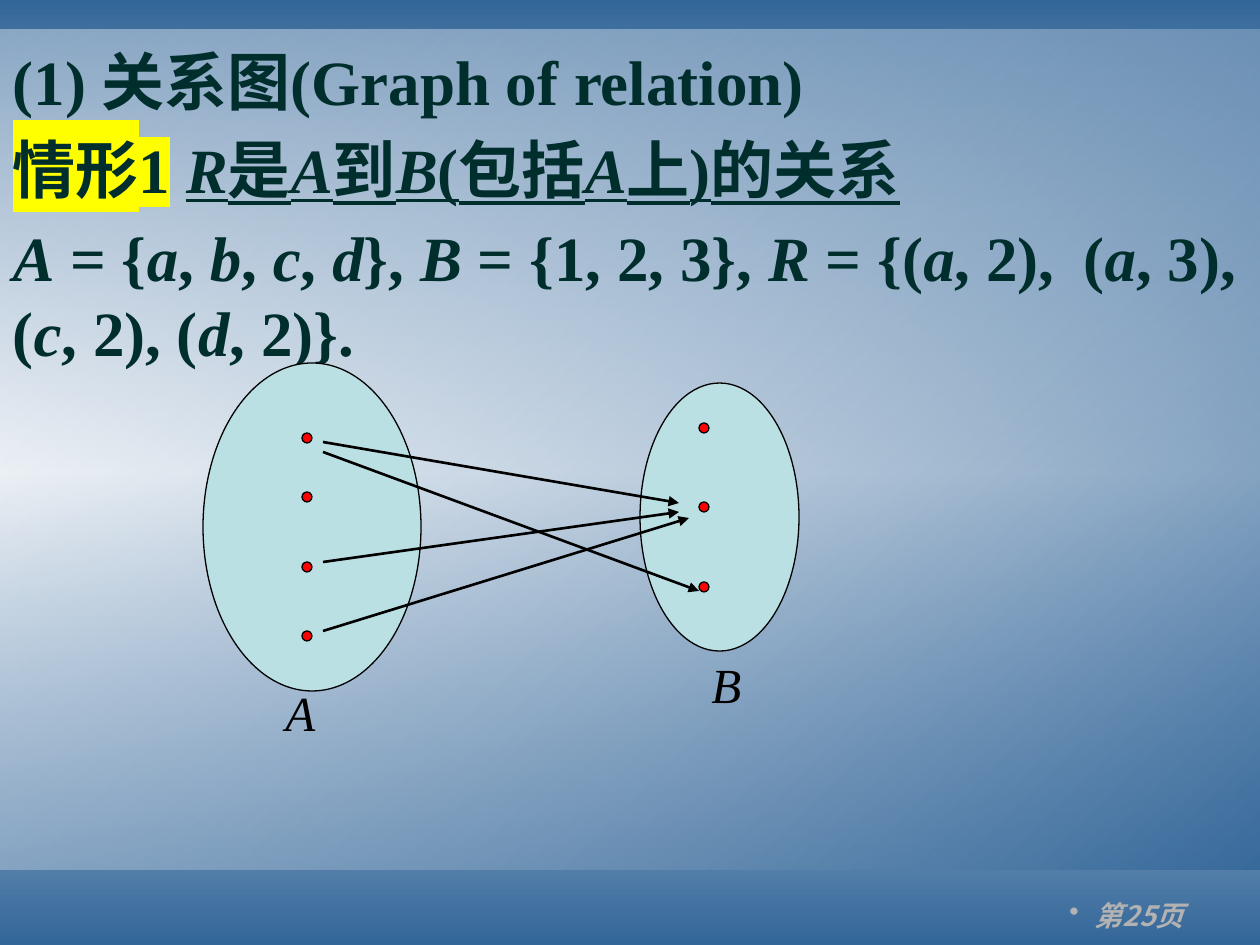
from lxml.etree import SubElement
from pptx import Presentation
from pptx.dml.color import RGBColor
from pptx.enum.dml import MSO_LINE
from pptx.enum.shapes import MSO_CONNECTOR, MSO_SHAPE
from pptx.enum.text import MSO_ANCHOR, MSO_AUTO_SIZE, PP_ALIGN
from pptx.oxml.ns import qn
from pptx.util import Emu, Pt

EMU_PER_PX = 914400 / 126
BLUE = RGBColor(0x33, 0x66, 0x99)
WHITE = RGBColor(0xFF, 0xFF, 0xFF)
BLACK = RGBColor(0x00, 0x00, 0x00)
DARK_GREEN = RGBColor(0x00, 0x2E, 0x2D)
PALE_TEAL = RGBColor(0xBB, 0xE0, 0xE3)
RED = RGBColor(0xFF, 0x00, 0x00)
GRAY = RGBColor(0xB2, 0xB2, 0xB2)
YELLOW = RGBColor(0xFF, 0xFF, 0x00)
SERIF = "Times New Roman"
CHINESE = "Noto Sans CJK SC"
DOT_SIZE = 10

HEADING = [("(1) 关系图(Graph of relation)", "")]
CASE = [
    ("情形1", "h"), (" ", ""), ("R", "iu"), ("是", "u"), ("A", "iu"), ("到", "u"),
    ("B", "iu"), ("(包括", "u"), ("A", "iu"), ("上)的关系", "u"),
]
SETS = [
    ("A", "i"), (" = {", ""), ("a", "i"), (", ", ""), ("b", "i"), (", ", ""),
    ("c", "i"), (", ", ""), ("d", "i"), ("}, ", ""), ("B", "i"),
    (" = {1, 2, 3}, ", ""), ("R", "i"), (" = {(", ""), ("a", "i"),
    (", 2),\t(", ""), ("a", "i"), (", 3), (", ""), ("c", "i"),
    (", 2), (", ""), ("d", "i"), (", 2)}.", ""),
]
ARROWS = [
    ((323, 442), (679, 503)),
    ((323, 452), (699, 591)),
    ((323, 562), (679, 512)),
    ((323, 631), (689, 518)),
]


def px(length):
    return Emu(round(length * EMU_PER_PX))


def place(shape, left, top, width, height):
    shape.left, shape.top = px(left), px(top)
    shape.width, shape.height = px(width), px(height)


def set_gradient(fill, angle, stops):
    fill.gradient()
    fill.gradient_angle = angle
    stop_list = fill.gradient_stops[0]._gs.getparent()
    for child in list(stop_list):
        stop_list.remove(child)
    for position, color, opacity in stops:
        stop = SubElement(stop_list, qn("a:gs"), pos=str(position * 1000))
        color_element = SubElement(stop, qn("a:srgbClr"), val=str(color))
        if opacity < 100:
            SubElement(color_element, qn("a:alpha"), val=str(opacity * 1000))


def set_font(paragraph, name, size, color, bold=False, italic=False):
    font = paragraph.font
    font.name, font.size = name, Pt(size)
    font.bold, font.italic = bold, italic
    font.color.rgb = color
    defaults = paragraph._p.pPr.find(qn("a:defRPr"))
    SubElement(defaults, qn("a:ea"), typeface=CHINESE)


def add_runs(paragraph, runs):
    for text, style in runs:
        run = paragraph.add_run()
        run.text = text
        if "i" in style:
            run.font.italic = True
        if "u" in style:
            run.font.underline = True
        if "h" in style:
            highlight = SubElement(run._r.get_or_add_rPr(), qn("a:highlight"))
            SubElement(highlight, qn("a:srgbClr"), val=str(YELLOW))


def fill_body(body):
    place(body, 0, 30, 1260, 840)
    set_gradient(body.fill, 315, [(0, WHITE, 39), (100, BLUE, 82)])
    frame = body.text_frame
    frame.auto_size = MSO_AUTO_SIZE.NONE
    frame.vertical_anchor = MSO_ANCHOR.TOP
    frame.margin_top = px(13)
    for index, runs in enumerate([HEADING, CASE, SETS]):
        paragraph = frame.add_paragraph() if index else frame.paragraphs[0]
        paragraph.line_spacing = Pt(43)
        paragraph.space_before = Pt(7.2 if index else 0)
        properties = paragraph._p.get_or_add_pPr()
        properties.set("marL", "0")
        properties.set("indent", "0")
        SubElement(properties, qn("a:buNone"))
        if runs is SETS:
            tabs = SubElement(properties, qn("a:tabLst"))
            SubElement(tabs, qn("a:tab"), pos=str(px(1121)), algn="l")
        set_font(paragraph, SERIF, 36, DARK_GREEN, bold=True)
        add_runs(paragraph, runs)


def add_ellipse(slide, left, top, width, height, color):
    ellipse = slide.shapes.add_shape(
        MSO_SHAPE.OVAL, px(left), px(top), px(width), px(height))
    ellipse.shadow.inherit = False
    ellipse.fill.solid()
    ellipse.fill.fore_color.rgb = color
    ellipse.line.color.rgb = BLACK
    ellipse.line.width = Pt(0.75)


def add_arrow(slide, start, end):
    arrow = slide.shapes.add_connector(
        MSO_CONNECTOR.STRAIGHT, *map(px, start + end))
    arrow.line.color.rgb = BLACK
    arrow.line.width = Pt(1.5)
    arrow.line.dash_style = MSO_LINE.SOLID
    SubElement(arrow.line._get_or_add_ln(), qn("a:tailEnd"), type="triangle")
    SubElement(arrow._element.spPr, qn("a:effectLst"))


def add_text_box(slide, left, top, width, height):
    box = slide.shapes.add_textbox(px(left), px(top), px(width), px(height))
    box.text_frame.word_wrap = True
    return box.text_frame


def add_set_label(slide, text, left, top):
    frame = add_text_box(slide, left, top, 89, 72)
    frame.margin_top = px(13)
    paragraph = frame.paragraphs[0]
    set_font(paragraph, SERIF, 28, BLACK, italic=True)
    paragraph.add_run().text = text


def add_page_number(slide):
    paragraph = add_text_box(slide, 1057, 892, 139, 47).paragraphs[0]
    paragraph.alignment = PP_ALIGN.RIGHT
    SubElement(paragraph._p.get_or_add_pPr(), qn("a:buChar"), char="•")
    set_font(paragraph, CHINESE, 16, GRAY, bold=True, italic=True)
    paragraph.add_run().text = "第25页"


def main():
    presentation = Presentation()
    presentation.slide_width, presentation.slide_height = px(1260), px(945)
    slide = presentation.slides.add_slide(presentation.slide_layouts[1])
    set_gradient(slide.background.fill, 90,
                 [(0, BLUE, 100), (50, WHITE, 100), (100, BLUE, 100)])
    title = slide.shapes.title._element
    title.getparent().remove(title)

    fill_body(slide.placeholders[1])
    add_page_number(slide)
    add_ellipse(slide, 203, 363, 218, 328, PALE_TEAL)
    add_ellipse(slide, 640, 383, 159, 268, PALE_TEAL)
    for left, tops in [(302, (433, 492, 562, 631)), (699, (423, 502, 582))]:
        for top in tops:
            add_ellipse(slide, left, top, DOT_SIZE, DOT_SIZE, RED)
    for start, end in ARROWS:
        add_arrow(slide, start, end)
    add_set_label(slide, "A", 273, 670)
    add_set_label(slide, "B", 699, 641)
    presentation.save("out.pptx")


if __name__ == "__main__":
    main()
